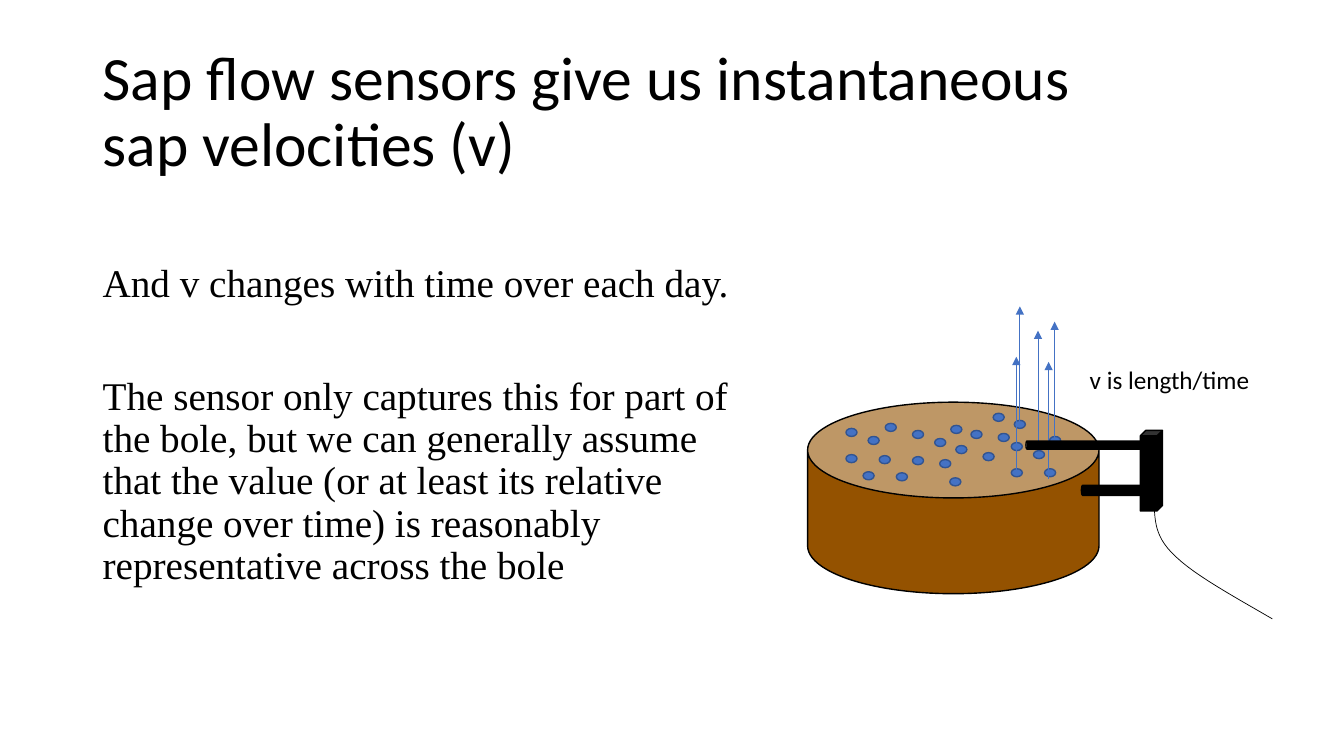
"""Build a slide on sap velocity with a diagram of a sensor in a tree bole."""
from lxml import etree
from pptx import Presentation
from pptx.dml.color import RGBColor
from pptx.enum.shapes import MSO_CONNECTOR, MSO_SHAPE
from pptx.enum.text import MSO_ANCHOR
from pptx.oxml.ns import qn
from pptx.util import Inches, Pt

STRAIGHT = MSO_CONNECTOR.STRAIGHT
CAN, CUBE, OVAL = MSO_SHAPE.CAN, MSO_SHAPE.CUBE, MSO_SHAPE.OVAL
MIDDLE, TOP = MSO_ANCHOR.MIDDLE, MSO_ANCHOR.TOP
CELL = Inches(0.1)
THEME = {
    "black": RGBColor.from_string("000000"),
    "bark": RGBColor.from_string("945200"),
    "sap": RGBColor.from_string("4472C4"),
    "sap_edge": RGBColor.from_string("325491"),
    "sans": "Calibri", "serif": "Times New Roman",
    "title": Pt(44), "body": Pt(28), "label": Pt(18),
    "outline": Pt(1), "thin": Pt(0.5),
}

deck = Presentation()
deck.slide_width, deck.slide_height = Inches(13.33), Inches(7.5)
page = deck.slides.add_slide(deck.slide_layouts[6])


def add_text(frame, text, size, font, anchor=TOP, leading=1.0, gap=0):
    """Add a text box whose frame is given in grid cells."""
    box = page.shapes.add_textbox(*[round(value * CELL) for value in frame])
    box.text_frame.word_wrap = True
    box.text_frame.vertical_anchor = anchor
    box.text_frame.text = text
    for index, para in enumerate(box.text_frame.paragraphs):
        para.line_spacing = leading
        para.space_before = Pt(gap if index else 0)
        for span in para.runs:
            span.font.size, span.font.name = THEME[size], THEME[font]
            span.font.color.rgb = THEME["black"]


def add_solid(kind, frame, fill, edge="black", turn=0):
    """Add a filled, outlined shape whose frame is given in grid cells."""
    solid = page.shapes.add_shape(kind, *[round(value * CELL) for value in frame])
    solid.shadow.inherit = False
    solid.fill.solid()
    solid.fill.fore_color.rgb = THEME[fill]
    solid.line.color.rgb = THEME[edge]
    solid.line.width = THEME["outline"]
    solid.rotation = turn
    return solid


add_text((9.2, 4, 115, 14.5), "Sap flow sensors give us instantaneous \vsap velocities (v)",
         "title", "sans", MIDDLE, 0.9)
add_text((9.2, 25.7, 65.7, 47.3),
         "And v changes with time over each day.\n"
         "The sensor only captures this for part of the bole, but we can generally "
         "assume that the value (or at least its relative change over time) is "
         "reasonably representative across the bole",
         "body", "serif", leading=0.9, gap=50)

bole = add_solid(CAN, (80.1, 39.9, 28.9, 19), "bark")
bole.adjustments[0] = 0.5

vessels = [
    (83.9, 45.1), (85.6, 46.8), (86.1, 43.3), (87.2, 45.2), (88.9, 46.9), (83.9, 42.5),
    (87.8, 42), (90.5, 45.3), (92.7, 43.5), (90.5, 42.7), (94.3, 42.2), (93.2, 45.6),
    (94.2, 47.4), (94.8, 44.2), (97.5, 44.9), (96.3, 42.7), (98.5, 41), (99, 43),
    (100.6, 41.7), (100.3, 46.5), (102.5, 44.7), (103.6, 46.5), (100.3, 43.9), (104.1, 43.3),
]
for left, top in vessels:
    add_solid(OVAL, (left, top, 1.1, 0.8), "sap", "sap_edge")

arrow_rise = 11.6
for x, base in [(101.15, 42), (104.6, 43.5), (102.95, 44.4), (100.8, 47), (104, 47.5)]:
    arrow = page.shapes.add_connector(
        STRAIGHT, *[round(value * CELL) for value in (x, base, x, base - arrow_rise)])
    arrow.line.color.rgb = THEME["sap"]
    arrow.line.width = THEME["thin"]
    etree.SubElement(arrow.line._get_or_add_ln(), qn("a:tailEnd"), type="triangle")
    etree.SubElement(arrow._element.spPr, qn("a:effectLst"))

add_text((107.1, 35.7, 22.6, 4), "v is length/time", "label", "sans")

add_solid(CAN, (107.1, 38.4, 0.8, 11.5), "black", turn=270)
add_solid(CAN, (109.8, 45.6, 1, 6.1), "black", turn=90)
add_solid(CUBE, (113.1, 42.7, 2.2, 8), "black")

cable_curves = [
    [(114.5, 50.6), (114.6, 52), (114.7, 53.5), (116.7, 55.3)],
    [(116.7, 55.3), (118.6, 57.1), (122.4, 59.2), (126.2, 61.4)],
]
steps = 12
cable_points = []
for curve in cable_curves:
    for step in range(1, steps + 1):
        t = step / steps
        weights = ((1 - t) ** 3, 3 * t * (1 - t) ** 2, 3 * t ** 2 * (1 - t), t ** 3)
        cable_points.append(tuple(
            round(CELL * sum(weight * point[axis] for weight, point in zip(weights, curve)))
            for axis in (0, 1)))
start_x, start_y = [round(value * CELL) for value in cable_curves[0][0]]
builder = page.shapes.build_freeform(start_x, start_y)
builder.add_line_segments(cable_points, close=False)
cable = builder.convert_to_shape()
cable.shadow.inherit = False
cable.fill.background()
cable.line.color.rgb = THEME["black"]
cable.line.width = THEME["thin"]

deck.save("out.pptx")
